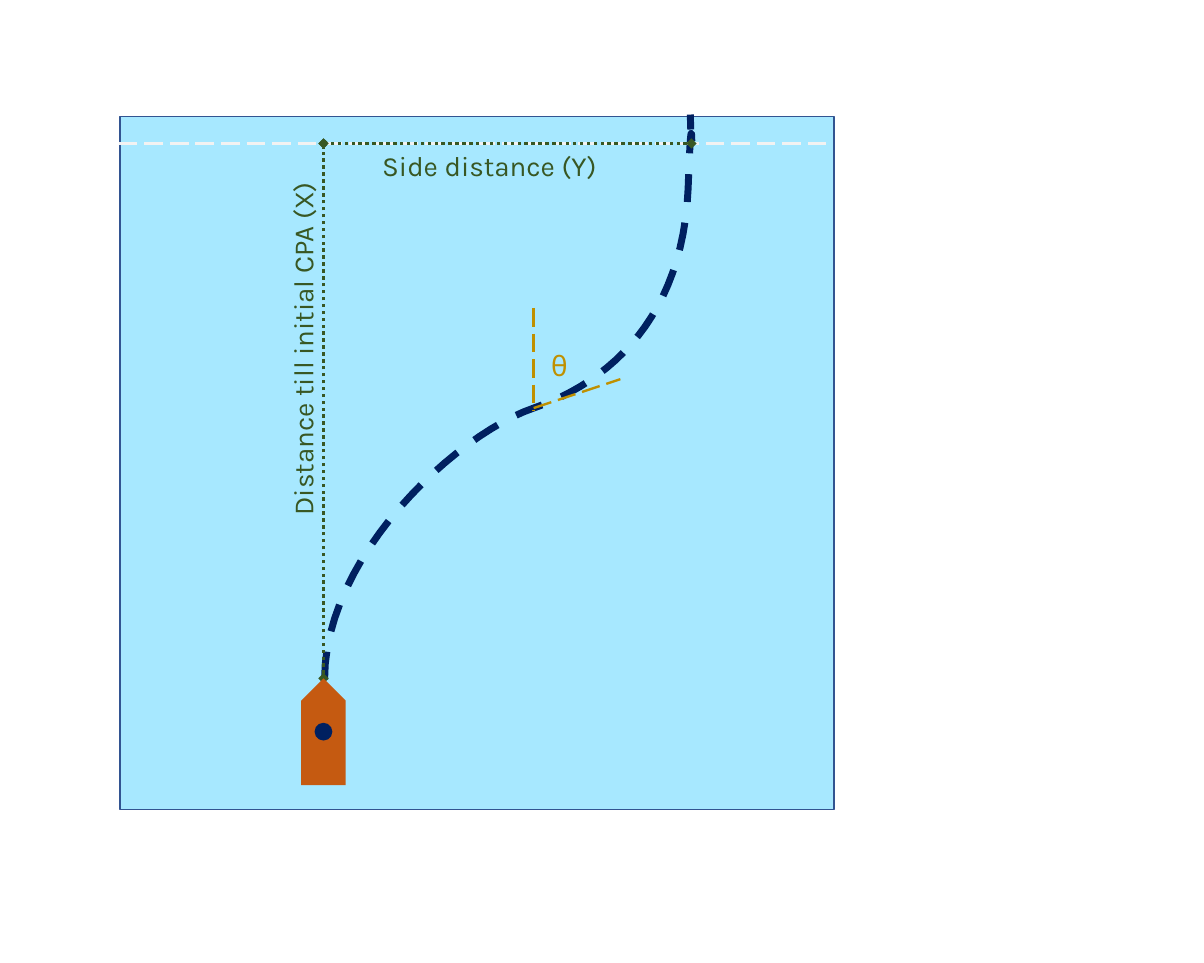
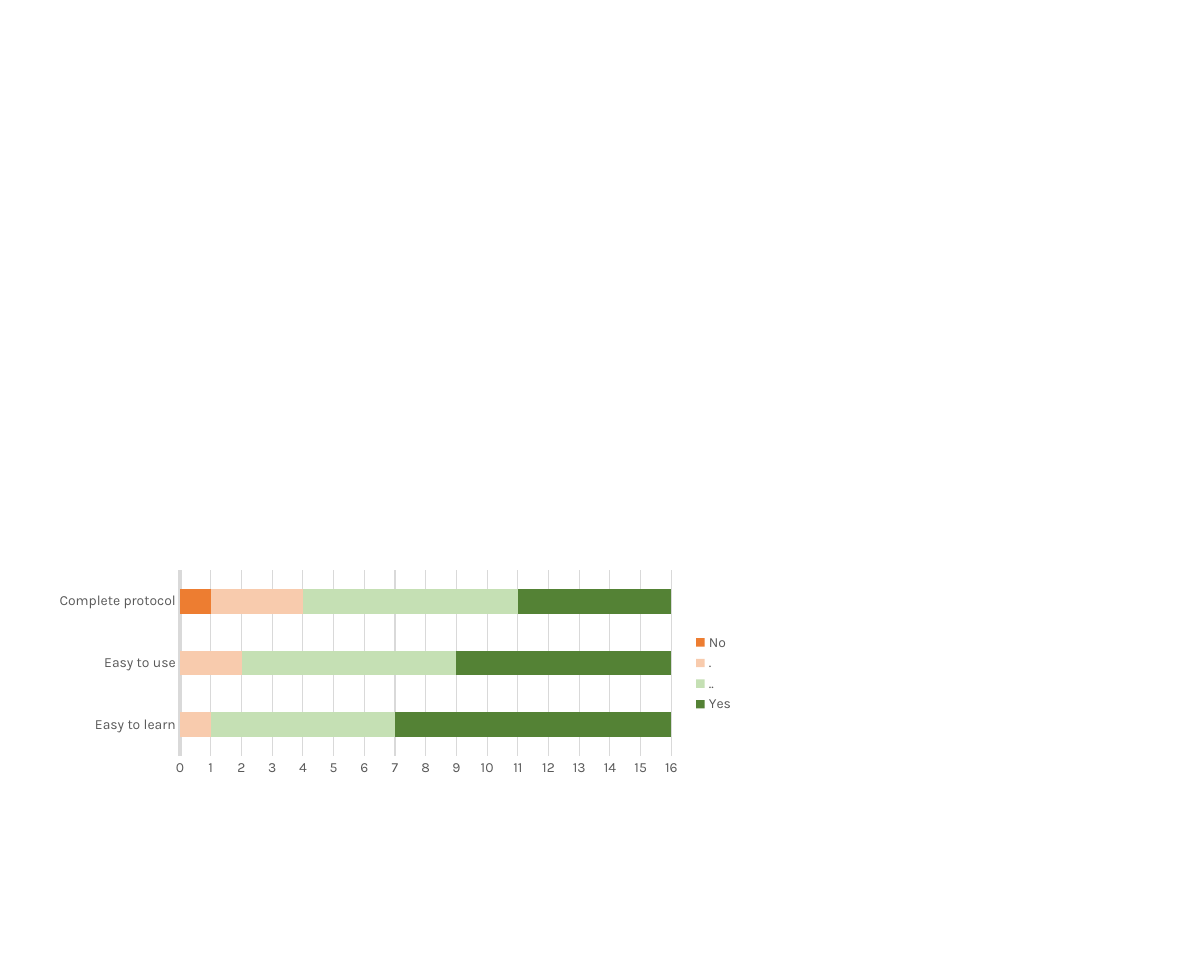
import pptx
import pptx.chart.data
import pptx.dml.color
import pptx.enum.chart
import pptx.enum.dml
import pptx.enum.shapes
import pptx.enum.text
import pptx.oxml
import pptx.oxml.ns
import pptx.util

Inches = pptx.util.Inches
Pt = pptx.util.Pt
RGBColor = pptx.dml.color.RGBColor
Dash = pptx.enum.dml.MSO_LINE
Preset = pptx.enum.shapes.MSO_SHAPE
Align = pptx.enum.text.PP_ALIGN

FONT = "Karla"
SEA = RGBColor(0xA7, 0xE8, 0xFF)
SEA_EDGE = RGBColor(0x32, 0x54, 0x91)
NAVY = RGBColor(0x00, 0x20, 0x60)
FOREST = RGBColor(0x38, 0x57, 0x23)
HULL = RGBColor(0xC5, 0x5A, 0x11)
OCHRE = RGBColor(0xBF, 0x90, 0x00)
TRACK_WHITE = RGBColor(0xF2, 0xF2, 0xF2)
GRID = RGBColor(0xD9, 0xD9, 0xD9)
LABEL = RGBColor(0x59, 0x59, 0x59)
BLACK = RGBColor(0x00, 0x00, 0x00)

ANSWERS = [
    ("No", (0, 0, 1), RGBColor(0xED, 0x7D, 0x31)),
    (".", (1, 2, 3), RGBColor(0xF8, 0xCB, 0xAD)),
    ("..", (6, 7, 7), RGBColor(0xC5, 0xE0, 0xB4)),
    ("Yes", (9, 7, 5), RGBColor(0x54, 0x82, 0x35)),
]
STATEMENTS = ["Easy to learn", "Easy to use", "Complete protocol"]

ROUTE = [
    [(1.84, 5.06), (1.84, 3.95), (3.02, 2.86), (3.72, 2.62)],
    [(3.72, 2.62), (4.42, 2.38), (5.06, 1.79), (5.11, 0.65)],
    [(5.11, 0.65), (5.15, -0.48), (5.15, 0.77), (5.13, -0.02)],
]
CURVE_STEPS = 24

MEASURE = {"color": FOREST, "width": 2.25, "dash": Dash.ROUND_DOT}
ANGLE = {"color": OCHRE, "width": 1.5, "dash": Dash.LONG_DASH}
CROSSING = {"color": TRACK_WHITE, "width": 1.5, "dash": Dash.LONG_DASH}
COURSE = {"color": NAVY, "width": 4.5, "dash": Dash.DASH}


def style_line(line, color, width, dash=None):
    line.color.rgb = color
    for name, value in {"width": Pt(width), "dash_style": dash}.items():
        setattr(line, name, value)


def style_font(font, size, color):
    for name, value in {"name": FONT, "size": Pt(size)}.items():
        setattr(font, name, value)
    font.color.rgb = color


def add_filled(shapes, preset, box, color):
    shape = shapes.add_shape(preset, *map(Inches, box))
    shape.shadow.inherit = False
    shape.fill.solid()
    shape.fill.fore_color.rgb = color
    shape.line.fill.background()
    return shape


def add_line(shapes, start, end, style, diamonds=False):
    connector = shapes.add_connector(
        pptx.enum.shapes.MSO_CONNECTOR.STRAIGHT, *map(Inches, start + end))
    style_line(connector.line, **style)
    if diamonds:
        for tag in ("a:headEnd", "a:tailEnd"):
            marker = pptx.oxml.parse_xml(
                f'<{tag} {pptx.oxml.ns.nsdecls("a")} type="diamond"/>')
            connector.get_or_add_ln().append(marker)
    connector.element.spPr.append(
        pptx.oxml.parse_xml(f'<a:effectLst {pptx.oxml.ns.nsdecls("a")}/>'))


def add_label(shapes, box, text, color, align=Align.LEFT, rotation=0):
    label = shapes.add_textbox(*map(Inches, box))
    label.rotation = rotation
    label.text_frame.word_wrap = True
    paragraph = label.text_frame.paragraphs[0]
    paragraph.alignment = align
    run = paragraph.add_run()
    run.text = text
    style_font(run.font, 18, color)


def bezier(points, t):
    weights = ((1 - t) ** 3, 3 * t * (1 - t) ** 2, 3 * t * t * (1 - t), t ** 3)
    return tuple(sum(w * p[axis] for w, p in zip(weights, points))
                 for axis in (0, 1))


def add_route(shapes, at):
    points = [ROUTE[0][0]] + [bezier(part, step / CURVE_STEPS)
                              for part in ROUTE
                              for step in range(1, CURVE_STEPS + 1)]
    placed = [tuple(map(Inches, at(*point))) for point in points]
    builder = shapes.build_freeform(*placed[0])
    builder.add_line_segments(placed[1:], close=False)
    route = builder.convert_to_shape()
    route.shadow.inherit = False
    route.fill.background()
    style_line(route.line, **COURSE)


def add_ship(shapes, left, top):
    ship = shapes.add_group_shape()
    hull = add_filled(ship.shapes, Preset.PENTAGON,
                      (left - 0.28, top + 0.28, 0.96, 0.4), HULL)
    hull.rotation = 270
    add_filled(ship.shapes, Preset.OVAL,
               (left + 0.12, top + 0.4, 0.16, 0.16), NAVY)


def draw_manoeuvre(slide, left, top, width, height):
    shapes = slide.shapes

    def at(x, y):
        return left + x, top + y

    sea = add_filled(shapes, Preset.RECTANGLE, (left, top, width, height), SEA)
    style_line(sea.line, SEA_EDGE, 1)
    add_route(shapes, at)

    closest_point = at(1.83, 0.24)
    turn = at(3.72, 2.62)
    add_line(shapes, at(1.83, 5.05), closest_point, MEASURE, True)
    add_line(shapes, at(-0.01, 0.24), at(width - 0.01, 0.24), CROSSING)
    add_label(shapes, at(-0.5, 2.43) + (4.28, 0.4),
              "Distance till initial CPA (X)", FOREST, Align.RIGHT, 270)
    add_ship(shapes, *at(1.63, 5.05))
    add_line(shapes, at(5.14, 0.24), closest_point, MEASURE, True)
    add_label(shapes, at(2.26, 0.24) + (2.2, 0.4), "Side distance (Y)", FOREST)
    add_line(shapes, turn, at(4.5, 2.36), ANGLE)
    add_line(shapes, at(3.72, 1.72), at(3.72, 2.64), ANGLE)
    add_label(shapes, at(3.78, 2.04) + (0.35, 0.4), "θ", OCHRE)


def draw_survey(slide, *box):
    survey = pptx.chart.data.CategoryChartData()
    survey.categories = STATEMENTS
    for answer, counts, _ in ANSWERS:
        survey.add_series(answer, counts)
    chart = slide.shapes.add_chart(
        pptx.enum.chart.XL_CHART_TYPE.BAR_STACKED,
        *map(Inches, box), survey).chart
    style_font(chart.font, 10, BLACK)
    chart.has_title = False
    chart.has_legend = True
    chart.legend.position = pptx.enum.chart.XL_LEGEND_POSITION.RIGHT
    chart.legend.include_in_layout = False
    style_font(chart.legend.font, 9, LABEL)

    bars = chart.plots[0]
    for name, value in {"gap_width": 150, "overlap": 100,
                        "vary_by_categories": False}.items():
        setattr(bars, name, value)
    for series, (_, _, color) in zip(bars.series, ANSWERS):
        series.format.fill.solid()
        series.format.fill.fore_color.rgb = color

    statements, counts = chart.category_axis, chart.value_axis
    for axis in (statements, counts):
        axis.major_tick_mark = pptx.enum.chart.XL_TICK_MARK.NONE
        axis.minor_tick_mark = pptx.enum.chart.XL_TICK_MARK.NONE
        style_font(axis.tick_labels.font, 9, LABEL)
    style_line(statements.format.line, GRID, 2.25)
    for name, value in {"minimum_scale": 0, "maximum_scale": 16, "major_unit": 1,
                        "has_major_gridlines": True}.items():
        setattr(counts, name, value)
    counts.format.line.fill.background()
    style_line(counts.major_gridlines.format.line, GRID, 0.75)


def main():
    deck = pptx.Presentation()
    deck.slide_width = Inches(10.83)
    deck.slide_height = Inches(8.66)
    blank = deck.slide_layouts[6]
    draw_manoeuvre(deck.slides.add_slide(blank), 1.08, 1.05, 6.42, 6.23)
    draw_survey(deck.slides.add_slide(blank), 0.41, 5.09, 6.29, 1.93)
    deck.save("out.pptx")


if __name__ == "__main__":
    main()
